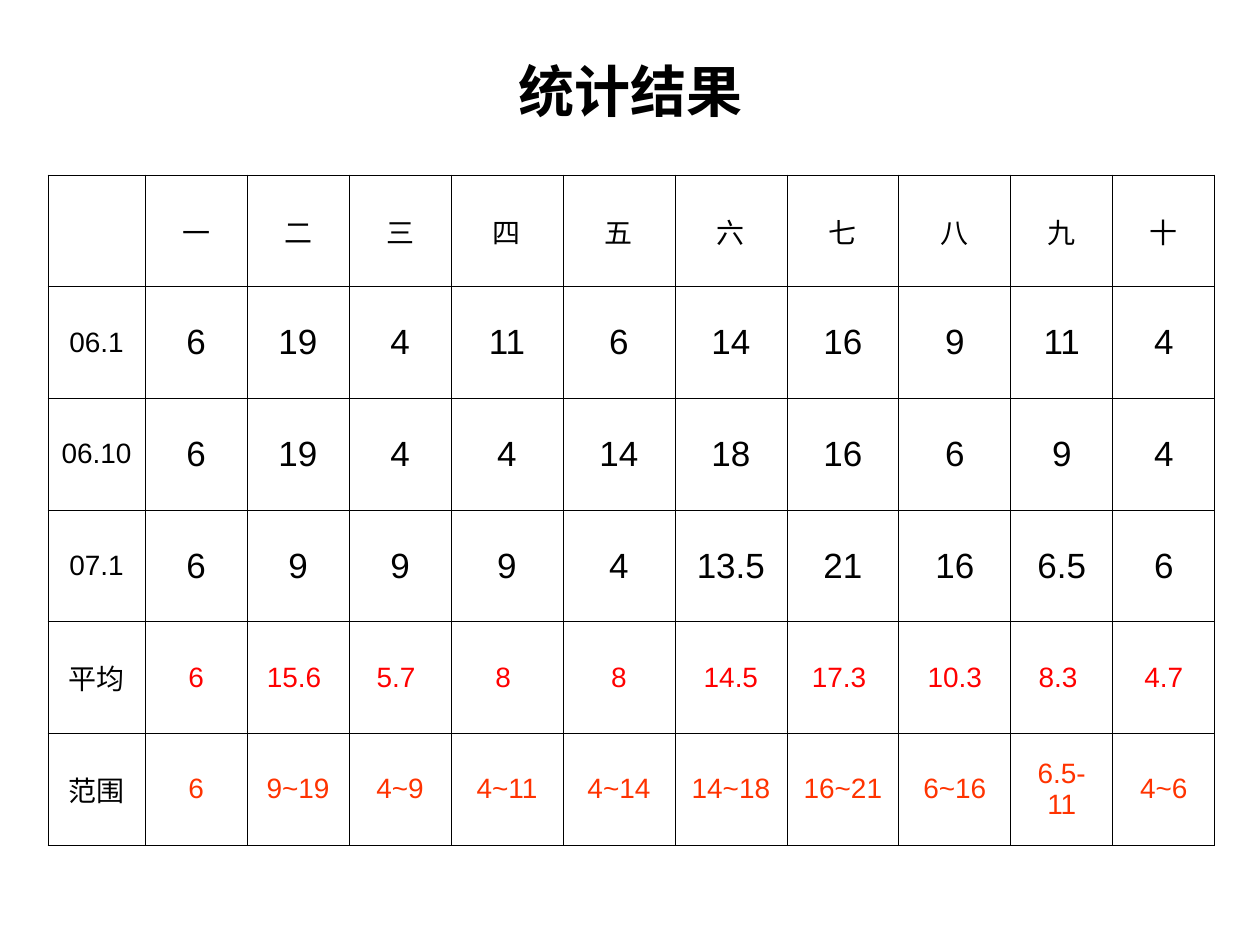
from lxml.etree import SubElement
from pptx import Presentation
from pptx.dml.color import RGBColor
from pptx.enum.text import MSO_ANCHOR, PP_ALIGN
from pptx.oxml.ns import qn
from pptx.util import Pt

SCALE = 914400 / 126  # EMU in one px
COLORS = {"ink": "000000", "mean": "FF0000", "range": "FF3300", "paper": "FFFFFF"}

# Each row: label, values, size and colour of the values
ROWS = [
    ("", "一 二 三 四 五 六 七 八 九 十".split(), 16, "ink"),
    ("06.1", "6 19 4 11 6 14 16 9 11 4".split(), 20, "ink"),
    ("06.10", "6 19 4 4 14 18 16 6 9 4".split(), 20, "ink"),
    ("07.1", "6 9 9 9 4 13.5 21 16 6.5 6".split(), 20, "ink"),
    ("平均", ["6", "15.6 ", "5.7 ", "8 ", "8", "14.5", "17.3 ", "10.3", "8.3 ", "4.7"],
     16, "mean"),
    ("范围", "6 9~19 4~9 4~11 4~14 14~18 16~21 6~16 6.5-11 4~6".split(), 16, "range"),
]
WIDTHS = [97] + [102] * 3 + [112] * 5 + [102] * 2


def px(n):
    return round(n * SCALE)


def color(name):
    return RGBColor.from_string(COLORS[name])


def write(frame, text, size=16, ink="ink", bold=False, font="Arial"):
    para = frame.paragraphs[0]
    para.alignment = PP_ALIGN.CENTER
    run = para.add_run()
    run.text = text
    run.font.name = font
    run.font.size = Pt(size)
    run.font.bold = bold
    run.font.color.rgb = color(ink)


class Deck:
    def __init__(self, wide, high):
        self.file = Presentation()
        self.file.slide_width = px(wide)
        self.file.slide_height = px(high)
        self.slide = self.file.slides.add_slide(self.file.slide_layouts[6])
        self.line = Pt(0.45)

    def title(self, text, x, y, wide, high):
        box = self.slide.shapes.add_textbox(px(x), px(y), px(wide), px(high))
        frame = box.text_frame
        frame.word_wrap = True
        frame.vertical_anchor = MSO_ANCHOR.MIDDLE
        write(frame, text, size=32, bold=True)

    def border(self, cell):
        props = cell._tc.get_or_add_tcPr()
        for side in ("lnL", "lnR", "lnT", "lnB"):
            line = SubElement(props, qn(f"a:{side}"), w=str(self.line))
            fill = SubElement(line, qn("a:solidFill"))
            SubElement(fill, qn("a:srgbClr"), val=COLORS["ink"])

    def cell(self, cell, text, **style):
        self.border(cell)
        cell.fill.solid()
        cell.fill.fore_color.rgb = color("paper")
        cell.vertical_anchor = MSO_ANCHOR.MIDDLE
        if text:
            write(cell.text_frame, text, **style)

    def table(self, rows, widths, x, y, high):
        table = self.slide.shapes.add_table(
            len(rows), len(widths), px(x), px(y), px(sum(widths)), px(high)).table
        table.first_row = table.horz_banding = False
        for col, wide in zip(table.columns, widths):
            col.width = px(wide)
        for r, (label, values, size, ink) in enumerate(rows):
            self.cell(table.cell(r, 0), label)
            for c, value in enumerate(values, 1):
                self.cell(table.cell(r, c), value, size=size, ink=ink)


def main():
    deck = Deck(1260, 945)
    # Heading
    deck.title("统计结果", 64, 25, 1134, 130)
    # Results by item and date
    deck.table(ROWS, WIDTHS, 48, 175, 670)
    deck.file.save("out.pptx")


if __name__ == "__main__":
    main()
